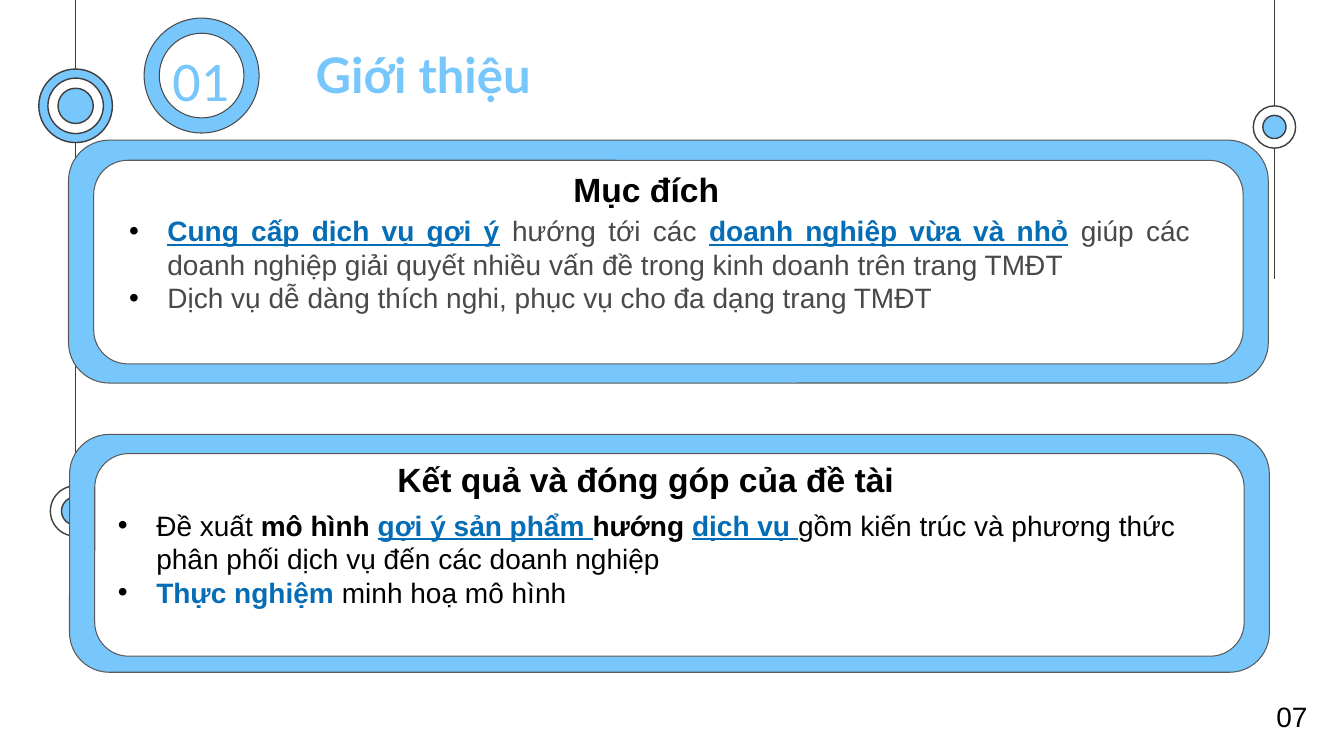
"""Build the introduction slide with its purpose and contribution panels."""
import dataclasses

import lxml.etree
import pptx
import pptx.dml.color
import pptx.enum.shapes
import pptx.enum.text
import pptx.oxml.ns
import pptx.shapes.autoshape
import pptx.slide
import pptx.text.text
import pptx.util

COLUMN = ROW = pptx.util.Inches(0.1)
SKY, WHITE, BLACK = "77C6FC", "FFFFFF", "000000"
INK, GREY, EDGE, LINK = "3D3D3D", "494949", "595959", "046DB5"
MARGIN = pptx.util.Inches(0.13)
INDENT = pptx.util.Inches(0.38)
OVAL = pptx.enum.shapes.MSO_SHAPE.OVAL
ROUNDED = pptx.enum.shapes.MSO_SHAPE.ROUNDED_RECTANGLE
LEFT = pptx.enum.text.PP_ALIGN.LEFT
CENTER = pptx.enum.text.PP_ALIGN.CENTER
JUSTIFY = pptx.enum.text.PP_ALIGN.JUSTIFY
TOP = pptx.enum.text.MSO_ANCHOR.TOP
MIDDLE = pptx.enum.text.MSO_ANCHOR.MIDDLE
BOTTOM = pptx.enum.text.MSO_ANCHOR.BOTTOM


@dataclasses.dataclass(frozen=True)
class Area:
    column: float
    row: float
    columns: float
    rows: float

    def lengths(self) -> tuple[int, int, int, int]:
        return (round(self.column * COLUMN), round(self.row * ROW),
                round(self.columns * COLUMN), round(self.rows * ROW))


@dataclasses.dataclass(frozen=True)
class Rings:
    column: float
    row: float
    circles: tuple[tuple[float, str | None], ...]
    edge: str = INK
    weight: float = 1


@dataclasses.dataclass(frozen=True)
class Span:
    text: str
    color: str = BLACK
    bold: bool = False
    underline: bool = False


@dataclasses.dataclass(frozen=True)
class Block:
    area: Area
    paragraphs: tuple[tuple[Span, ...], ...]
    size: float = 20
    font: str = "Arial"
    align: pptx.enum.text.PP_ALIGN = LEFT
    anchor: pptx.enum.text.MSO_ANCHOR = TOP
    bulleted: bool = False


RAILS = ((7.5, 58), (126.4, 27.7))
KNOBS = (
    Rings(7.5, 50.7, ((5, None), (2.8, SKY))),
    Rings(126.4, 12.6, ((4.2, WHITE), (2.3, SKY))),
    Rings(7.5, 10.5, ((7.3, SKY), (5.5, WHITE), (3.5, SKY))),
    Rings(20, 7.5, ((11.4, SKY), (8.4, WHITE)), GREY, 0.75),
)
PANELS = (
    (Area(6.8, 13.9, 119, 24.1), SKY),
    (Area(9.3, 15.9, 114, 20.2), WHITE),
    (Area(6.9, 43.1, 119, 23.6), SKY),
    (Area(9.4, 45, 114, 20.1), WHITE),
)
TITLE = Block(Area(30, 3.1, 80.7, 8.7), ((Span("Giới thiệu", SKY, True),),), 35, "Lato")
BLOCKS = (
    Block(Area(13.9, 1.5, 12, 11), ((Span("01", SKY),),), 40, "Calibri", CENTER, BOTTOM),
    Block(Area(11.5, 19.9, 107.8, 13.8), (
        (Span("Cung cấp dịch vụ gợi ý", LINK, True, True),
         Span(" hướng tới các ", GREY),
         Span("doanh nghiệp vừa và nhỏ", LINK, True, True),
         Span(" giúp các doanh nghiệp giải quyết nhiều vấn đề trong kinh doanh "
              "trên trang TMĐT", GREY)),
        (Span("Dịch vụ dễ dàng thích nghi, phục vụ cho đa dạng trang TMĐT", GREY),),
    ), align=JUSTIFY, bulleted=True),
    Block(Area(48.9, 16.5, 30.4, 4.5), ((Span("Mục đích", bold=True),),),
          24, align=CENTER, anchor=MIDDLE),
    Block(Area(10.4, 49.1, 108.9, 14.5), (
        (Span("Đề xuất "), Span("mô hình ", bold=True),
         Span("gợi ý sản phẩm ", LINK, True, True), Span("hướng ", bold=True),
         Span("dịch vụ ", LINK, True, True),
         Span("gồm kiến trúc và phương thức phân phối dịch vụ đến các doanh nghiệp")),
        (Span("Thực nghiệm ", LINK, True), Span("minh hoạ mô hình")),
    ), bulleted=True),
    Block(Area(35.7, 45.5, 56.7, 4.1),
          ((Span("Kết quả và đóng góp của đề tài", bold=True),),),
          24, align=CENTER, anchor=MIDDLE),
    Block(Area(125.3, 68.1, 6.6, 5.3), ((Span("07"),),)),
)


def colour(code: str) -> pptx.dml.color.RGBColor:
    return pptx.dml.color.RGBColor.from_string(code)


def apply(target: object, values: dict[str, object]) -> None:
    for name, value in values.items():
        setattr(target, name, value)


def draw_shape(page: pptx.slide.Slide, kind: pptx.enum.shapes.MSO_SHAPE, area: Area,
               fill: str | None, edge: str, weight: float) -> pptx.shapes.autoshape.Shape:
    shape = page.shapes.add_shape(kind, *area.lengths())
    shape.shadow.inherit = False
    if fill is None:
        shape.fill.background()
    else:
        shape.fill.solid()
        shape.fill.fore_color.rgb = colour(fill)
    shape.line.color.rgb = colour(edge)
    shape.line.width = pptx.util.Pt(weight)
    return shape


def draw_rail(page: pptx.slide.Slide, column: float, end: float) -> None:
    left, _, _, bottom = Area(column, 0, 0, end).lengths()
    rail = page.shapes.add_connector(
        pptx.enum.shapes.MSO_CONNECTOR.STRAIGHT, left, 0, left, bottom)
    rail.line.color.rgb = colour(INK)
    rail.line.width = pptx.util.Pt(0.75)
    lxml.etree.SubElement(rail._element.spPr, pptx.oxml.ns.qn("a:effectLst"))


def draw_rings(page: pptx.slide.Slide, rings: Rings) -> None:
    for size, fill in rings.circles:
        area = Area(rings.column - size / 2, rings.row - size / 2, size, size)
        draw_shape(page, OVAL, area, fill, rings.edge, rings.weight)


def add_bullet(para: pptx.text.text._Paragraph) -> None:
    qn = pptx.oxml.ns.qn
    settings = para._p.get_or_add_pPr()
    settings.set("marL", str(INDENT))
    settings.set("indent", str(-INDENT))
    tint = lxml.etree.SubElement(settings, qn("a:buClr"))
    lxml.etree.SubElement(tint, qn("a:srgbClr"), val=BLACK)
    lxml.etree.SubElement(settings, qn("a:buFont"), typeface="Arial")
    lxml.etree.SubElement(settings, qn("a:buChar"), char="•")


def write_block(box: pptx.shapes.autoshape.Shape, block: Block) -> None:
    apply(box, dict(zip(("left", "top", "width", "height"), block.area.lengths())))
    frame = box.text_frame
    apply(frame, {
        "word_wrap": True, "auto_size": pptx.enum.text.MSO_AUTO_SIZE.NONE,
        "vertical_anchor": block.anchor, "margin_left": MARGIN,
        "margin_right": MARGIN, "margin_top": MARGIN, "margin_bottom": MARGIN})
    for index, spans in enumerate(block.paragraphs):
        para = frame.add_paragraph() if index else frame.paragraphs[0]
        para.alignment = block.align
        if block.bulleted:
            add_bullet(para)
        for span in spans:
            run = para.add_run()
            run.text = span.text
            apply(run.font, {
                "name": block.font, "size": pptx.util.Pt(block.size),
                "bold": span.bold, "underline": span.underline})
            run.font.color.rgb = colour(span.color)


def main() -> None:
    deck = pptx.Presentation()
    deck.slide_width = pptx.util.Inches(13.33)
    deck.slide_height = pptx.util.Inches(7.5)
    page = deck.slides.add_slide(deck.slide_layouts.get_by_name("Title Only"))
    write_block(page.shapes.title, TITLE)
    for column, end in RAILS:
        draw_rail(page, column, end)
    for rings in KNOBS:
        draw_rings(page, rings)
    for area, fill in PANELS:
        panel = draw_shape(page, ROUNDED, area, fill, EDGE, 0.75)
        panel.adjustments[0] = 0.167
    for block in BLOCKS:
        write_block(page.shapes.add_textbox(*block.area.lengths()), block)
    deck.save("out.pptx")


if __name__ == "__main__":
    main()
